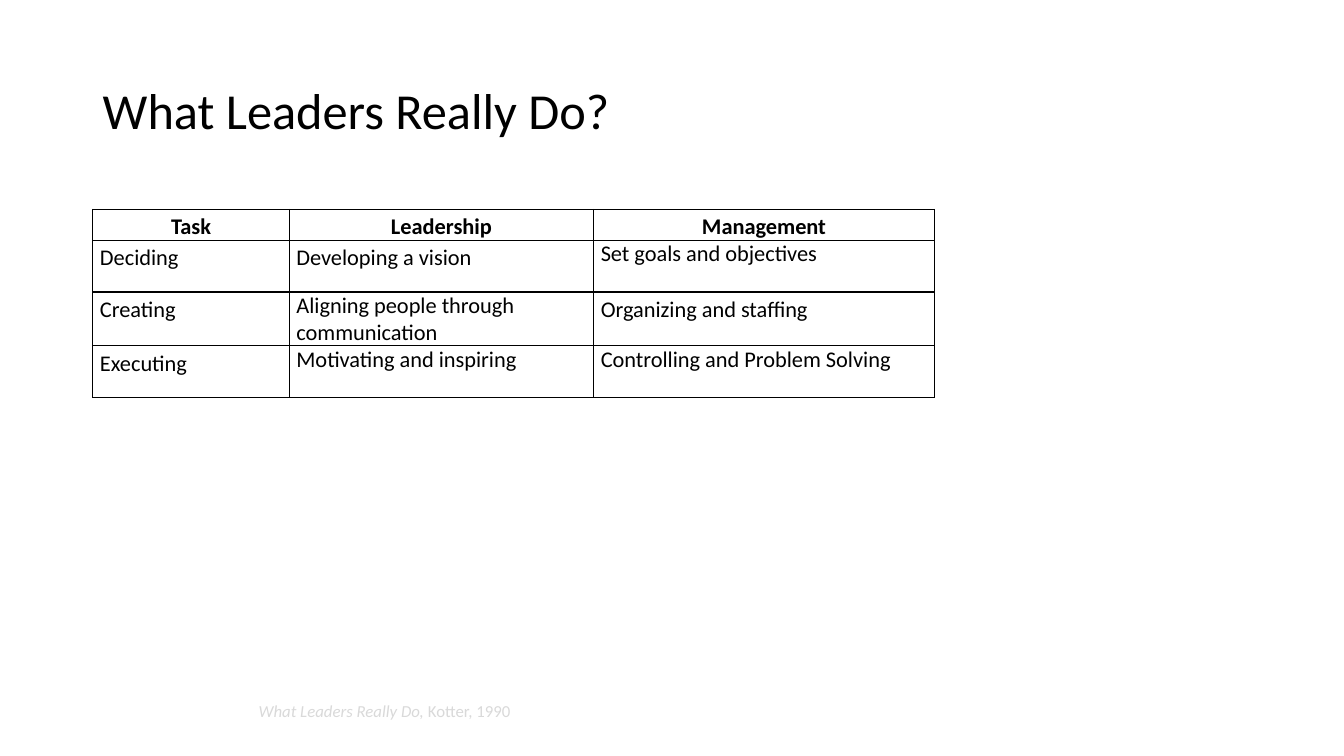
from dataclasses import dataclass

from lxml.etree import SubElement
from pptx import Presentation
from pptx.dml.color import RGBColor
from pptx.enum.text import MSO_ANCHOR, PP_ALIGN
from pptx.oxml.ns import qn
from pptx.util import Cm, Pt


@dataclass(frozen=True)
class Theme:
    font: str = "Calibri"
    ink: str = "000000"
    muted: str = "D9D9D9"
    paper: str = "FFFFFF"
    title_size: int = 36
    table_size: int = 16
    source_size: int = 12
    border_width: int = 1
    loose_spacing: float = 1.15
    title_spacing: float = 0.9


THEME = Theme()
COLUMN_WIDTHS = (4.95, 7.67, 8.59)
ROW_HEIGHTS = (0.66, 1.3, 1.3, 1.3)
TASK_ROWS = (
    ("Task", "Leadership", "Management"),
    ("Deciding", "Developing a vision", "Set goals and objectives"),
    ("Creating", "Aligning people through communication", "Organizing and staffing"),
    ("Executing", "Motivating and inspiring", "Controlling and Problem Solving"),
)
# Cells (row, column) set with single line spacing
SINGLE_SPACED = {(1, 2), (2, 1), (3, 1), (3, 2)}


def write_text(paragraph, text, size, color=THEME.ink, bold=False, italic=False,
               align=PP_ALIGN.LEFT, spacing=1.0):
    paragraph.alignment = align
    paragraph.line_spacing = spacing
    run = paragraph.add_run()
    run.text = text
    run.font.name = THEME.font
    run.font.size = Pt(size)
    run.font.bold = bold
    run.font.italic = italic
    run.font.color.rgb = RGBColor.from_string(color)


def add_text_box(slide, left, top, width, height, anchor=MSO_ANCHOR.TOP):
    """Add a wrapping text box and return its first paragraph."""
    shape = slide.shapes.add_textbox(Cm(left), Cm(top), Cm(width), Cm(height))
    shape.text_frame.word_wrap = True
    shape.text_frame.vertical_anchor = anchor
    return shape.text_frame.paragraphs[0]


def add_cell_borders(cell):
    properties = cell._tc.get_or_add_tcPr()
    for side in ("a:lnL", "a:lnR", "a:lnT", "a:lnB"):
        line = SubElement(properties, qn(side), w=str(Pt(THEME.border_width)))
        fill = SubElement(line, qn("a:solidFill"))
        SubElement(fill, qn("a:srgbClr"), val=THEME.ink)


def format_cell(cell):
    cell.margin_left = cell.margin_right = Cm(0.18)
    cell.margin_top = cell.margin_bottom = Cm(0)
    add_cell_borders(cell)
    cell.fill.solid()
    cell.fill.fore_color.rgb = RGBColor.from_string(THEME.paper)


def add_task_table(slide, left, top):
    table = slide.shapes.add_table(
        len(ROW_HEIGHTS), len(COLUMN_WIDTHS), Cm(left), Cm(top),
        Cm(sum(COLUMN_WIDTHS)), Cm(sum(ROW_HEIGHTS))).table
    for column, width in zip(table.columns, COLUMN_WIDTHS):
        column.width = Cm(width)
    for row, height in zip(table.rows, ROW_HEIGHTS):
        row.height = Cm(height)
    for row_index, texts in enumerate(TASK_ROWS):
        is_header = row_index == 0
        for column_index, text in enumerate(texts):
            cell = table.cell(row_index, column_index)
            format_cell(cell)
            is_single = (row_index, column_index) in SINGLE_SPACED
            write_text(cell.text_frame.paragraphs[0], text, THEME.table_size,
                       bold=is_header,
                       align=PP_ALIGN.CENTER if is_header else PP_ALIGN.LEFT,
                       spacing=1.0 if is_single else THEME.loose_spacing)


def main():
    presentation = Presentation()
    presentation.slide_width, presentation.slide_height = Cm(33.87), Cm(19.05)
    slide = presentation.slides.add_slide(presentation.slide_layouts[6])

    # Title
    title = add_text_box(slide, 2.34, 1.02, 29.21, 3.68, anchor=MSO_ANCHOR.MIDDLE)
    write_text(title, "What Leaders Really Do?", THEME.title_size,
               spacing=THEME.title_spacing)

    # Source line
    source = add_text_box(slide, 6.27, 17.53, 22.02, 0.76)
    write_text(source, "What Leaders Really Do,", THEME.source_size,
               color=THEME.muted, italic=True)
    write_text(source, " Kotter, 1990", THEME.source_size, color=THEME.muted)

    # Comparison of tasks
    add_task_table(slide, 2.34, 5.28)

    presentation.save("out.pptx")


if __name__ == "__main__":
    main()
